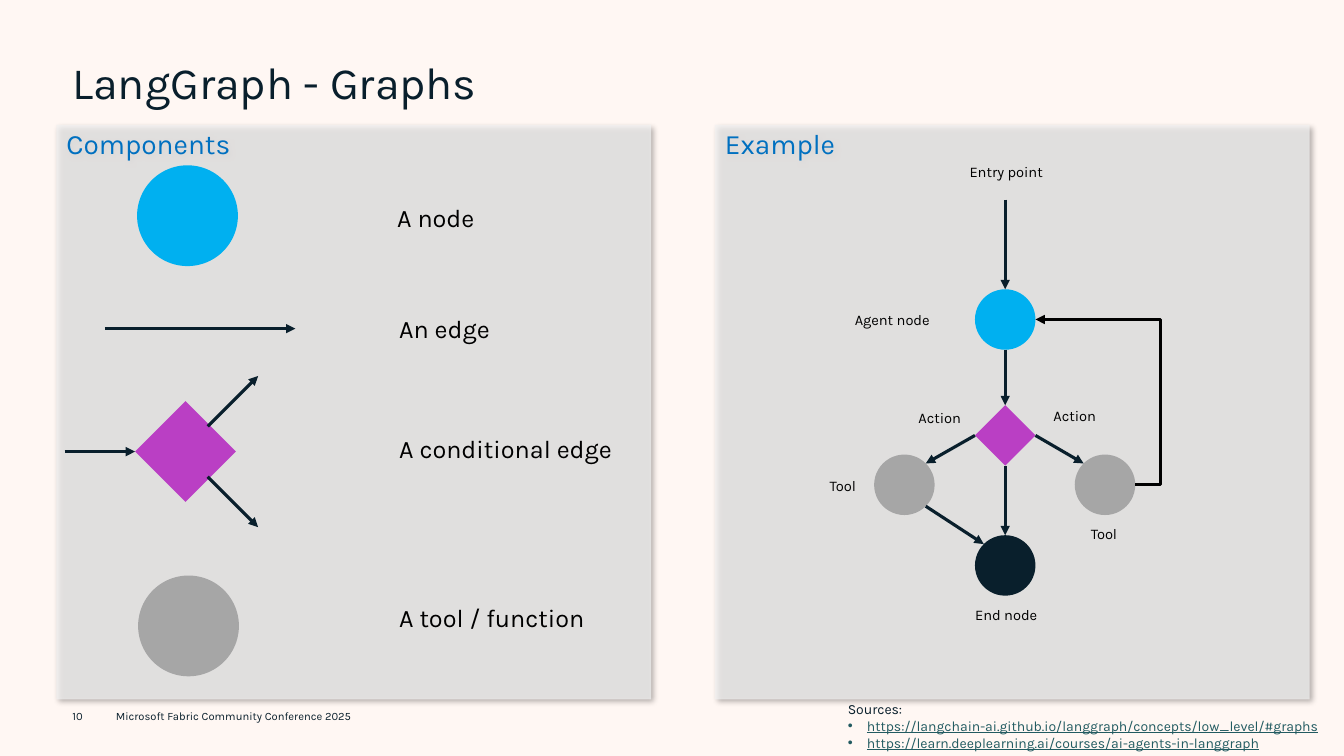
from math import sqrt

from lxml.etree import SubElement
from pptx import Presentation
from pptx.dml.color import RGBColor
from pptx.enum.shapes import MSO_CONNECTOR, MSO_SHAPE
from pptx.enum.text import MSO_ANCHOR, PP_ALIGN
from pptx.oxml.ns import qn
from pptx.util import Inches, Pt

NAVY, BLACK, BLUE = "091F2C", "000000", "0070C0"
SKY, PURPLE, GRAY, TEAL = "00B0F0", "BA3FC4", "A6A6A6", "225B61"


def color(value):
    return RGBColor.from_string(value)


def child(parent, tag, **attributes):
    return SubElement(parent, qn(tag), {k: str(v) for k, v in attributes.items()})


def style(paragraph, size, ink):
    for run in paragraph.runs:
        run.font.name = "Karla"
        run.font.size = Pt(size)
        run.font.color.rgb = color(ink)


def add_label(slide, left, top, width, height, text, size, ink=BLACK,
              anchor=MSO_ANCHOR.MIDDLE, align=PP_ALIGN.LEFT):
    label = slide.shapes.add_textbox(
        Inches(left), Inches(top), Inches(width), Inches(height))
    frame = label.text_frame
    frame.word_wrap = True
    frame.vertical_anchor = anchor
    frame.text = text
    for paragraph in frame.paragraphs:
        paragraph.alignment = align
        style(paragraph, size, ink)
    return frame


def add_node(slide, kind, cx, cy, size, fill):
    node = slide.shapes.add_shape(
        kind, Inches(cx - size / 2), Inches(cy - size / 2), Inches(size), Inches(size))
    node.shadow.inherit = False
    node.fill.solid()
    node.fill.fore_color.rgb = color(fill)
    node.line.fill.background()
    return node


def add_arrow(slide, start, end, begin=None, finish=None,
              ink=NAVY, kind=MSO_CONNECTOR.STRAIGHT):
    arrow = slide.shapes.add_connector(
        kind, *(Inches(value) for value in (*start, *end)))
    if begin:
        arrow.begin_connect(*begin)
    if finish:
        arrow.end_connect(*finish)
    arrow.line.color.rgb = color(ink)
    arrow.line.width = Pt(2.25)
    child(arrow.line._get_or_add_ln(), "a:tailEnd", type="triangle")
    child(arrow._element.spPr, "a:effectLst")
    return arrow


def add_panel(slide, left, top, width, height, heading):
    panel = slide.shapes.add_shape(
        MSO_SHAPE.RECTANGLE, Inches(left), Inches(top), Inches(width), Inches(height))
    panel.fill.solid()
    panel.fill.fore_color.rgb = color("F2F2F2")
    fill = panel._element.spPr.find(qn("a:solidFill"))
    child(fill[0], "a:alpha", val=71000)
    panel.line.fill.background()
    panel.shadow.inherit = False
    effects = panel._element.spPr.find(qn("a:effectLst"))
    shadow = child(effects, "a:outerShdw", blurRad=Pt(4), dist=Pt(3),
                   dir=45 * 60000, algn="tl", rotWithShape=0)
    child(child(shadow, "a:srgbClr", val=BLACK), "a:alpha", val=40000)
    frame = panel.text_frame
    frame.word_wrap = True
    frame.vertical_anchor = MSO_ANCHOR.TOP
    frame.text = heading
    paragraph = frame.paragraphs[0]
    paragraph.alignment = PP_ALIGN.LEFT
    paragraph.line_spacing = 0.9
    style(paragraph, 20, BLUE)


def add_components(slide, left, top, width, height):
    add_panel(slide, left, top, width, height, "Components")
    add_node(slide, MSO_SHAPE.OVAL, left + 1.3, top + 0.9, 1, SKY)
    add_arrow(slide, (left + 0.48, top + 2.02), (left + 2.37, top + 2.02))

    cx, cy = left + 1.28, top + 3.24
    condition = add_node(slide, MSO_SHAPE.DIAMOND, cx, cy, 1, PURPLE)
    add_arrow(slide, (left + 0.08, cy), (cx - 0.5, cy), finish=(condition, 1))
    for side in (-1, 1):
        add_arrow(slide, (cx + 0.22, cy + side * 0.25), (cx + 0.72, cy + side * 0.75))

    add_node(slide, MSO_SHAPE.OVAL, left + 1.31, top + 4.97, 1, GRAY)
    for dx, dy, meaning in ((3.28, 0.42, "A node"),
                            (3.3, 1.52, "An edge"),
                            (3.3, 2.71, "A conditional edge"),
                            (3.3, 4.39, "A tool / function")):
        add_label(slide, left + dx, top + dy, 2.62, 1, meaning, 18)


def add_example(slide, left, top, width, height):
    add_panel(slide, left, top, width, height, "Example")
    size = 0.6
    radius = size / 2
    diagonal = radius / sqrt(2)
    axis = left + 2.88
    agent_y, action_y, tool_y, end_y = (top + dy for dy in (1.93, 3.08, 3.57, 4.37))
    tool_left, tool_right = axis - 1, axis + 0.99

    agent = add_node(slide, MSO_SHAPE.OVAL, axis, agent_y, size, SKY)
    action = add_node(slide, MSO_SHAPE.DIAMOND, axis, action_y, size, PURPLE)
    for tool_x in (tool_left, tool_right):
        add_node(slide, MSO_SHAPE.OVAL, tool_x, tool_y, size, GRAY)
    end = add_node(slide, MSO_SHAPE.OVAL, axis, end_y, size, NAVY)

    add_arrow(slide, (axis, top + 0.74), (axis, agent_y - radius), finish=(agent, 0))
    add_arrow(slide, (axis, agent_y + radius), (axis, action_y - radius),
              finish=(action, 0))
    add_arrow(slide, (axis, action_y + radius), (axis, end_y - radius),
              begin=(action, 2), finish=(end, 0))
    for side, tool_x, site in ((-1, tool_left, 1), (1, tool_right, 3)):
        add_arrow(slide, (axis + side * radius, action_y),
                  (tool_x - side * diagonal, tool_y - diagonal), begin=(action, site))
    add_arrow(slide, (tool_left + diagonal, tool_y + diagonal),
              (axis - diagonal, end_y - diagonal))

    loop = add_arrow(slide, (tool_right + radius, tool_y), (axis + radius, agent_y),
                     ink=BLACK, kind=MSO_CONNECTOR.ELBOW)
    guides = loop._element.spPr.find(qn("a:prstGeom")).get_or_add_avLst()
    child(guides, "a:gd", name="adj1", fmla="val -25100")

    for dx, dy, caption in ((2.89, 0.46, "Entry point"),
                            (1.76, 1.93, "Agent node"),
                            (2.23, 2.9, "Action"),
                            (3.57, 2.88, "Action"),
                            (1.27, 3.58, "Tool"),
                            (3.86, 4.05, "Tool"),
                            (2.89, 4.86, "End node")):
        add_label(slide, left + dx - 0.8, top + dy - 0.5, 1.6, 1, caption, 10.5,
                  align=PP_ALIGN.CENTER)


def add_sources(slide, left, top, width, height):
    links = ("https://langchain-ai.github.io/langgraph/concepts/low_level/#graphs",
             "https://learn.deeplearning.ai/courses/ai-agents-in-langgraph")
    frame = add_label(slide, left, top, width, height, "Sources:", 10, NAVY,
                      MSO_ANCHOR.TOP)
    for link in links:
        paragraph = frame.add_paragraph()
        paragraph.text = link
        properties = paragraph._p.get_or_add_pPr()
        properties.set("marL", str(Inches(0.19)))
        properties.set("indent", str(Inches(-0.19)))
        child(properties, "a:buFont", typeface="Arial")
        child(properties, "a:buChar", char="•")
        style(paragraph, 10, TEAL)
        paragraph.runs[0].font.underline = True


def add_footer(slide, left, top, width, height):
    add_label(slide, left, top, 0.44, height, "10", 8, NAVY)
    add_label(slide, left + 0.43, top, width - 0.43, height,
              "Microsoft Fabric Community Conference 2025", 8, NAVY)


def main():
    deck = Presentation()
    deck.slide_width, deck.slide_height = Inches(13.33), Inches(7.5)
    slide = deck.slides.add_slide(deck.slide_layouts[6])
    slide.background.fill.solid()
    slide.background.fill.fore_color.rgb = color("FFF7F3")

    title = add_label(slide, 0.62, 0.55, 12.1, 0.79, "LangGraph - Graphs", 32, NAVY,
                      MSO_ANCHOR.TOP)
    title.paragraphs[0].line_spacing = 0.9
    add_components(slide, 0.56, 1.24, 5.9, 5.7)
    add_example(slide, 7.09, 1.24, 5.9, 5.7)
    add_footer(slide, 0.62, 6.9, 3.56, 0.4)
    add_sources(slide, 8.31, 6.9, 5.09, 0.61)
    deck.save("out.pptx")


if __name__ == "__main__":
    main()
